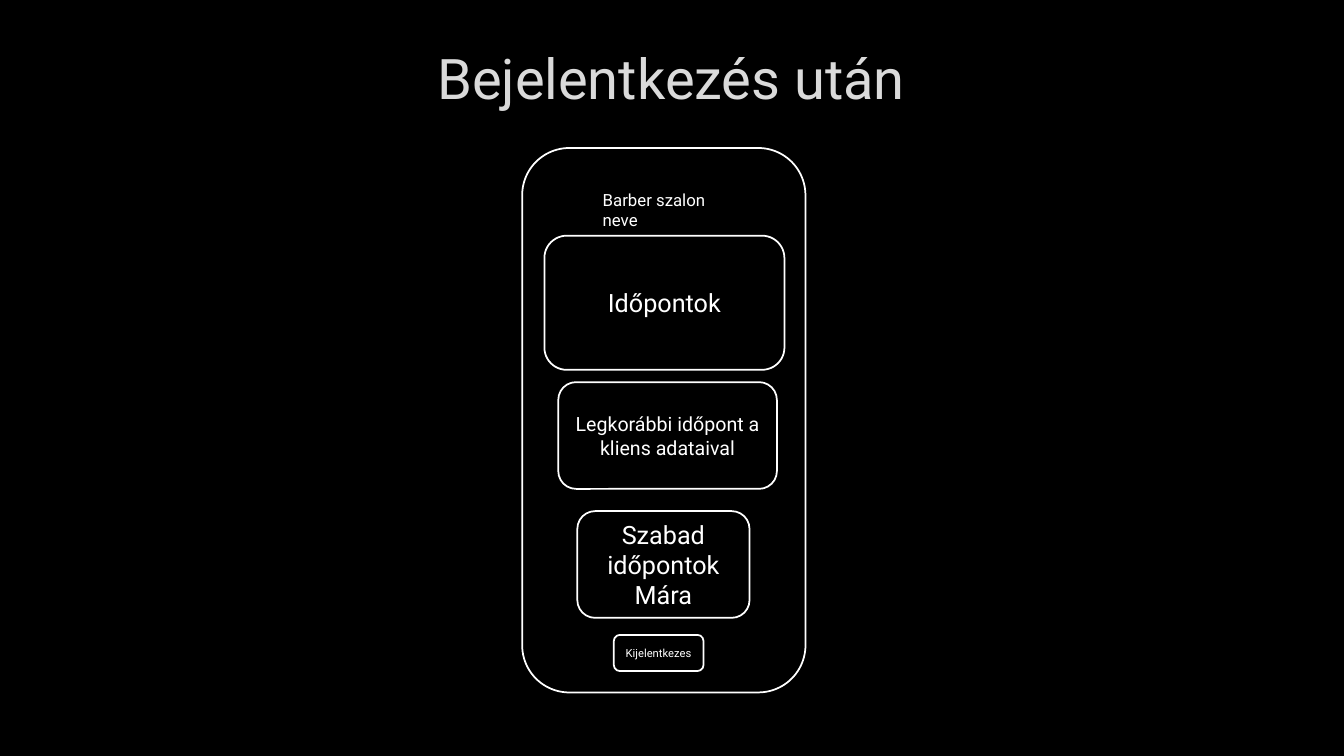
from pptx import Presentation
from pptx.dml.color import RGBColor
from pptx.enum.shapes import MSO_SHAPE
from pptx.enum.text import MSO_ANCHOR, PP_ALIGN
from pptx.util import Cm, Pt


def color(hex_string):
    return RGBColor.from_string(hex_string)


def write_text(shape, text, size, font_color="FFFFFF",
               align=PP_ALIGN.CENTER, anchor=MSO_ANCHOR.MIDDLE):
    frame = shape.text_frame
    frame.word_wrap = True
    frame.vertical_anchor = anchor
    frame.text = text
    for paragraph in frame.paragraphs:
        paragraph.alignment = align
        paragraph.font.name = "Roboto"
        paragraph.font.size = Pt(size)
        paragraph.font.color.rgb = color(font_color)


presentation = Presentation()
presentation.slide_width = Cm(33.87)
presentation.slide_height = Cm(19.05)
slide = presentation.slides.add_slide(presentation.slide_layouts[6])
slide.background.fill.solid()
slide.background.fill.fore_color.rgb = color("000000")

# Title
title = slide.shapes.add_textbox(Cm(2.54), Cm(0.61), Cm(28.75), Cm(2.69))
write_text(title, "Bejelentkezés után", size=40, font_color="DADADA")

# Phone frame and its panels: left, top, width, height, text, size
panels = [
    (13.16, 3.73, 7.14, 13.72, "", 18),
    (13.72, 5.94, 6.05, 3.38, "Időpontok", 18),
    (14.07, 9.63, 5.51, 2.69, "Legkorábbi időpont a kliens adataival", 14),
    (14.55, 12.88, 4.34, 2.69, "Szabad időpontok\nMára", 18),
    (15.47, 16, 2.26, 0.91, "Kijelentkezes", 8),
]
for left, top, width, height, text, size in panels:
    panel = slide.shapes.add_shape(
        MSO_SHAPE.ROUNDED_RECTANGLE, Cm(left), Cm(top), Cm(width), Cm(height))
    panel.shadow.inherit = False
    panel.fill.solid()
    panel.fill.fore_color.rgb = color("000000")
    panel.line.color.rgb = color("FFFFFF")
    panel.line.width = Pt(1.25)
    if text:
        write_text(panel, text, size=size)

# Salon name
salon_name = slide.shapes.add_textbox(Cm(14.94), Cm(4.65), Cm(3.96), Cm(0.76))
write_text(salon_name, "Barber szalon neve", size=12,
           align=PP_ALIGN.LEFT, anchor=MSO_ANCHOR.TOP)

presentation.save("out.pptx")
